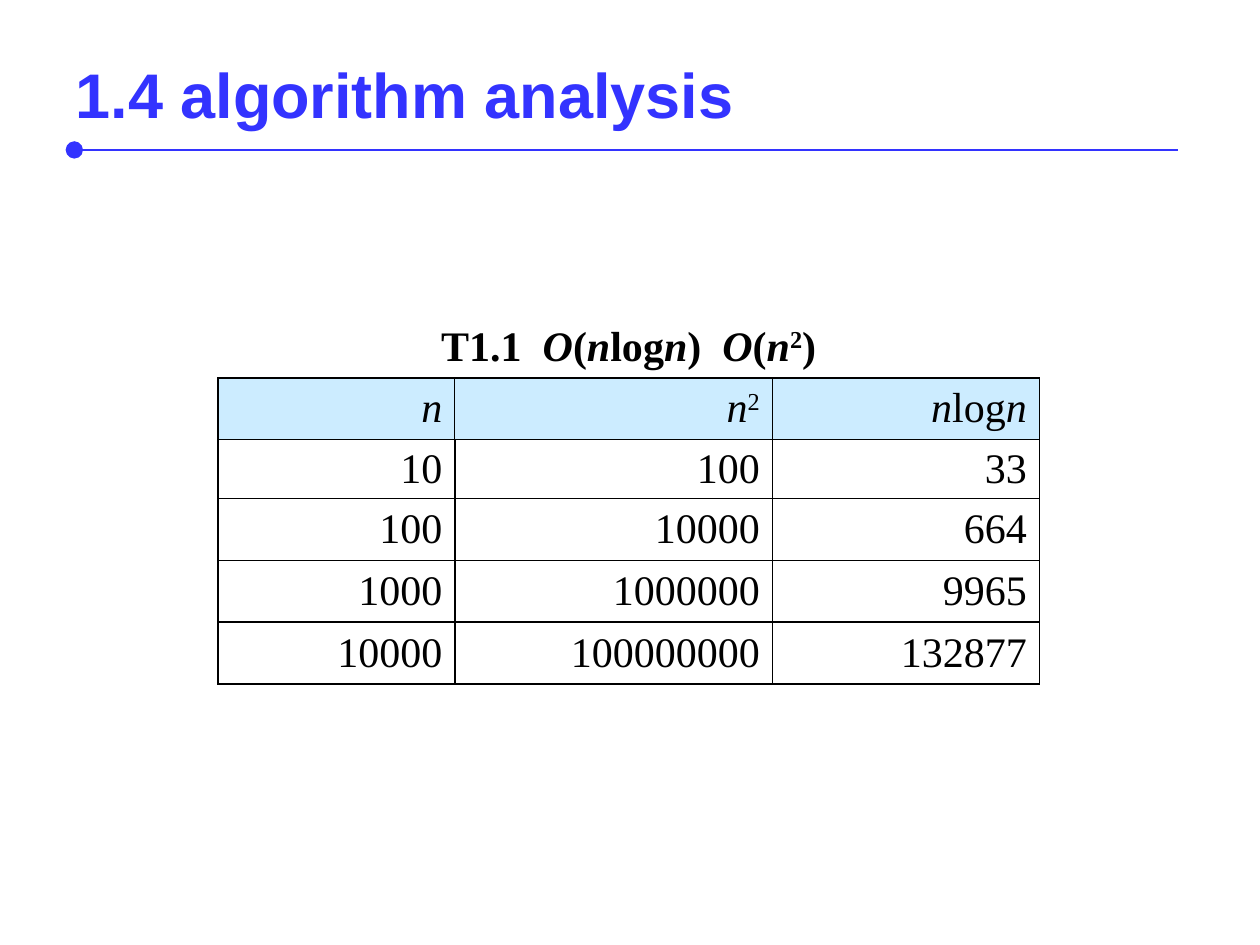
from lxml import etree
from pptx import Presentation
from pptx.dml.color import RGBColor
from pptx.enum.shapes import MSO_CONNECTOR
from pptx.enum.text import MSO_ANCHOR, PP_ALIGN
from pptx.oxml.ns import qn
from pptx.util import Inches, Pt

LEFT, CENTER, RIGHT = PP_ALIGN.LEFT, PP_ALIGN.CENTER, PP_ALIGN.RIGHT
MIDDLE = MSO_ANCHOR.MIDDLE
STRAIGHT = MSO_CONNECTOR.STRAIGHT
BLUE = RGBColor(0x33, 0x33, 0xFF)
BLACK = RGBColor(0, 0, 0)
PALE = RGBColor(0xCC, 0xEC, 0xFF)

PLAIN, ITALIC, SUPER = range(3)
CAPTION = [
    ("T1.1  ", PLAIN), ("O", ITALIC), ("(", PLAIN), ("n", ITALIC),
    ("log", PLAIN), ("n", ITALIC), (")  ", PLAIN), ("O", ITALIC),
    ("(", PLAIN), ("n", ITALIC), ("2", SUPER), (")", PLAIN),
]
HEADS = [
    [("n", ITALIC)],
    [("n", ITALIC), ("2", SUPER)],
    [("n", ITALIC), ("log", PLAIN), ("n", ITALIC)],
]
COUNTS = [
    (10, 100, 33),
    (100, 10000, 664),
    (1000, 1000000, 9965),
    (10000, 100000000, 132877),
]
COLS = (1.88, 2.52, 2.12)
ROWS = (0.49, 0.49, 0.43, 0.49, 0.49, 0.49)


def add_run(para, text, font, size, color, bold=False):
    """Append one styled run and return it."""
    run = para.add_run()
    run.text = text
    run.font.name = font
    run.font.size = Pt(size)
    run.font.bold = bold
    run.font.color.rgb = color
    return run


def add_title(slide, text, left, top, width, height):
    """Place the title in its placeholder."""
    title = slide.shapes.title
    title.left, title.top = Inches(left), Inches(top)
    title.width, title.height = Inches(width), Inches(height)
    frame = title.text_frame
    frame.vertical_anchor = MIDDLE
    para = frame.paragraphs[0]
    para.alignment = LEFT
    add_run(para, text, "Arial", 36, BLUE, True)


def add_rule(slide, left, right, top):
    """Draw the line under the title, with a dot at its start."""
    rule = slide.shapes.add_connector(
        STRAIGHT, Inches(left), Inches(top), Inches(right), Inches(top))
    rule.line.color.rgb = BLUE
    rule.line.width = Pt(1.5)
    etree.SubElement(rule.line._get_or_add_ln(), qn("a:headEnd"),
                     type="oval", w="lg", len="lg")
    etree.SubElement(rule._element.spPr, qn("a:effectLst"))


def set_edges(cell, widths):
    """Set the left, right, top and bottom borders; zero means none."""
    props = cell._tc.get_or_add_tcPr()
    for side, width in zip("LRTB", widths):
        line = etree.SubElement(props, qn(f"a:ln{side}"), w=str(Pt(width)))
        if width:
            fill = etree.SubElement(line, qn("a:solidFill"))
            etree.SubElement(fill, qn("a:srgbClr"), val=str(BLACK))
        else:
            etree.SubElement(line, qn("a:noFill"))


def fill_cell(cell, parts, align, bold=False):
    """Write the runs of one cell."""
    cell.vertical_anchor = MIDDLE
    para = cell.text_frame.paragraphs[0]
    para.alignment = align
    props = para._p.get_or_add_pPr()
    props.set("marL", str(Inches(0.38)))
    props.set("indent", str(Inches(-0.38)))
    for text, style in parts:
        run = add_run(para, text, "Times New Roman", 24, BLACK, bold)
        run.font.italic = style == ITALIC
        if style == SUPER:
            run.font._element.set("baseline", "30000")


def add_grid(slide, left, top, width, height):
    """Build the growth table with its caption row."""
    table = slide.shapes.add_table(
        len(ROWS), len(COLS), Inches(left), Inches(top),
        Inches(width), Inches(height)).table
    table.first_row = table.horz_banding = False
    for col, size in zip(table.columns, COLS):
        col.width = Inches(size)
    for row, size in zip(table.rows, ROWS):
        row.height = Inches(size)

    body = [[[(str(num), PLAIN)] for num in line] for line in COUNTS]
    for r, line in enumerate([HEADS] + body, 1):
        for c, parts in enumerate(line):
            cell = table.cell(r, c)
            fill_cell(cell, parts, RIGHT)
            if r == 1:
                set_edges(cell, (0.75, 0.75, 1, 1))
                cell.fill.solid()
                cell.fill.fore_color.rgb = PALE
            else:
                set_edges(cell, (1, 1, 1, 1))
                cell.fill.background()

    for cell in table.rows[0].cells:
        set_edges(cell, (0, 0, 0, 1))
        cell.fill.background()
    first = table.cell(0, 0)
    first.merge(table.cell(0, len(COLS) - 1))
    fill_cell(first, CAPTION, CENTER, True)


def main():
    """Build and save the slide."""
    deck = Presentation()
    deck.slide_width, deck.slide_height = Inches(10), Inches(7.5)
    slide = deck.slides.add_slide(deck.slide_layouts[5])
    add_rule(slide, 0.59, 9.35, 1.19)
    add_title(slide, "1.4 algorithm analysis", 0.5, 0.3, 9, 0.88)
    add_grid(slide, 1.73, 2.51, sum(COLS), sum(ROWS))
    deck.save("out.pptx")


if __name__ == "__main__":
    main()
